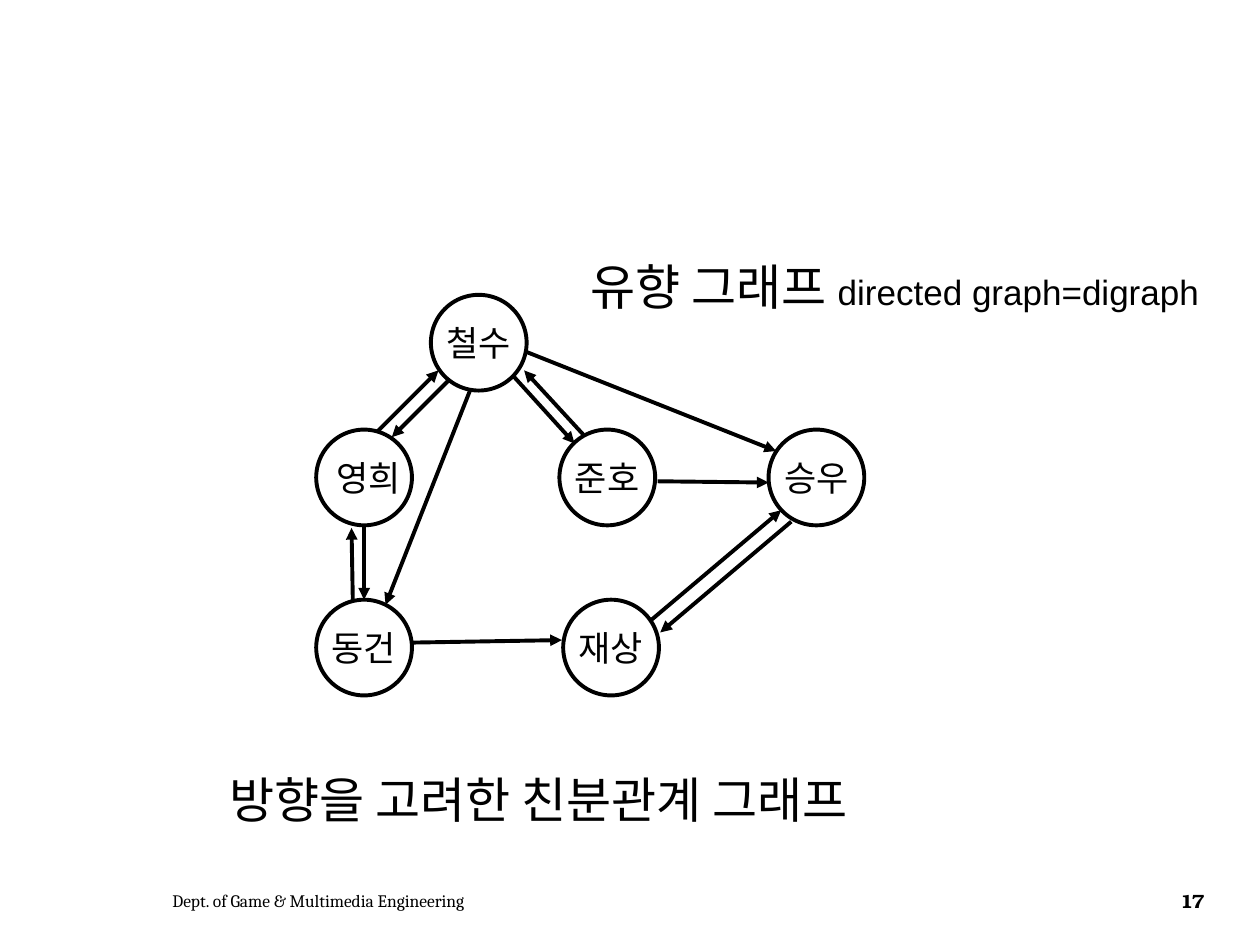
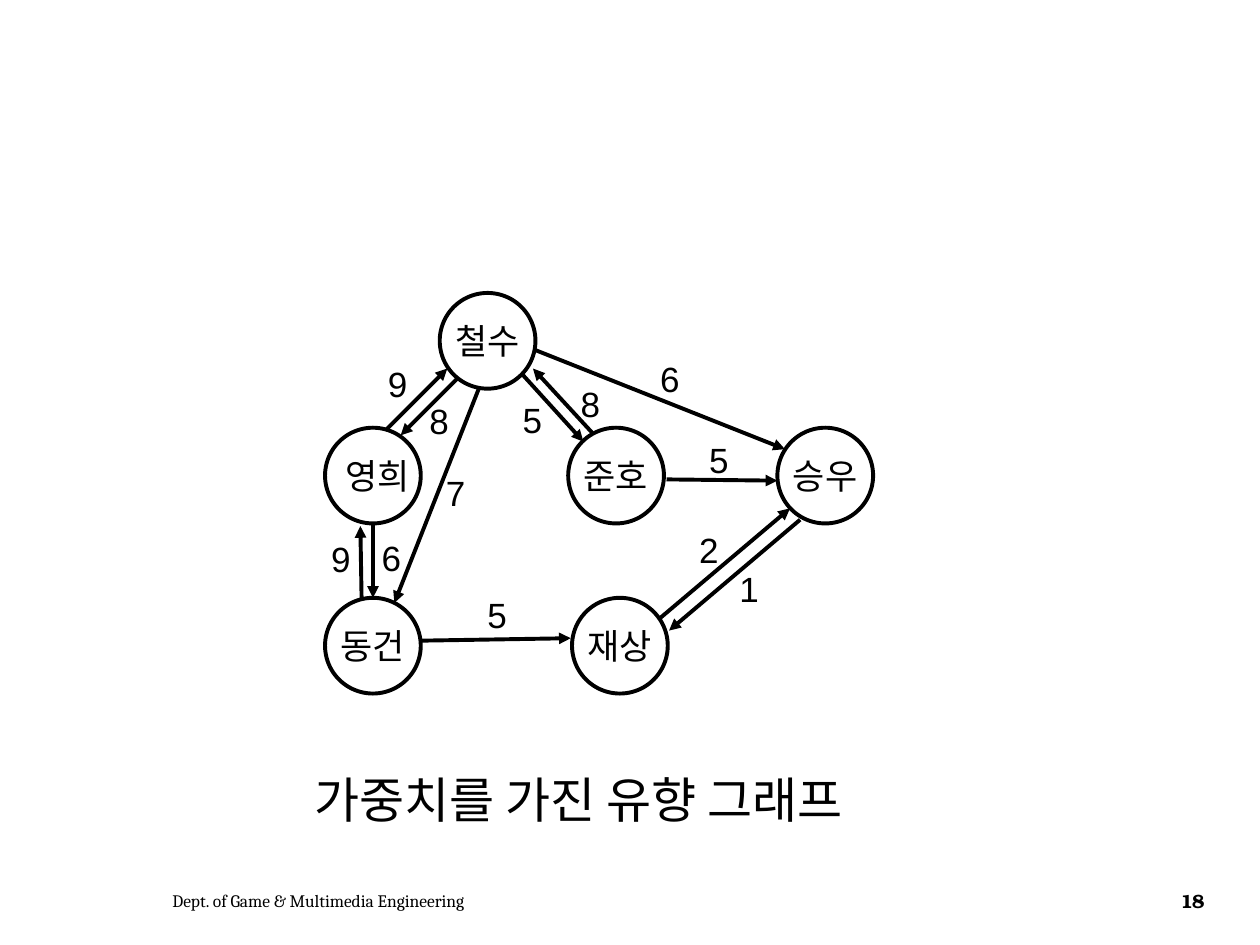
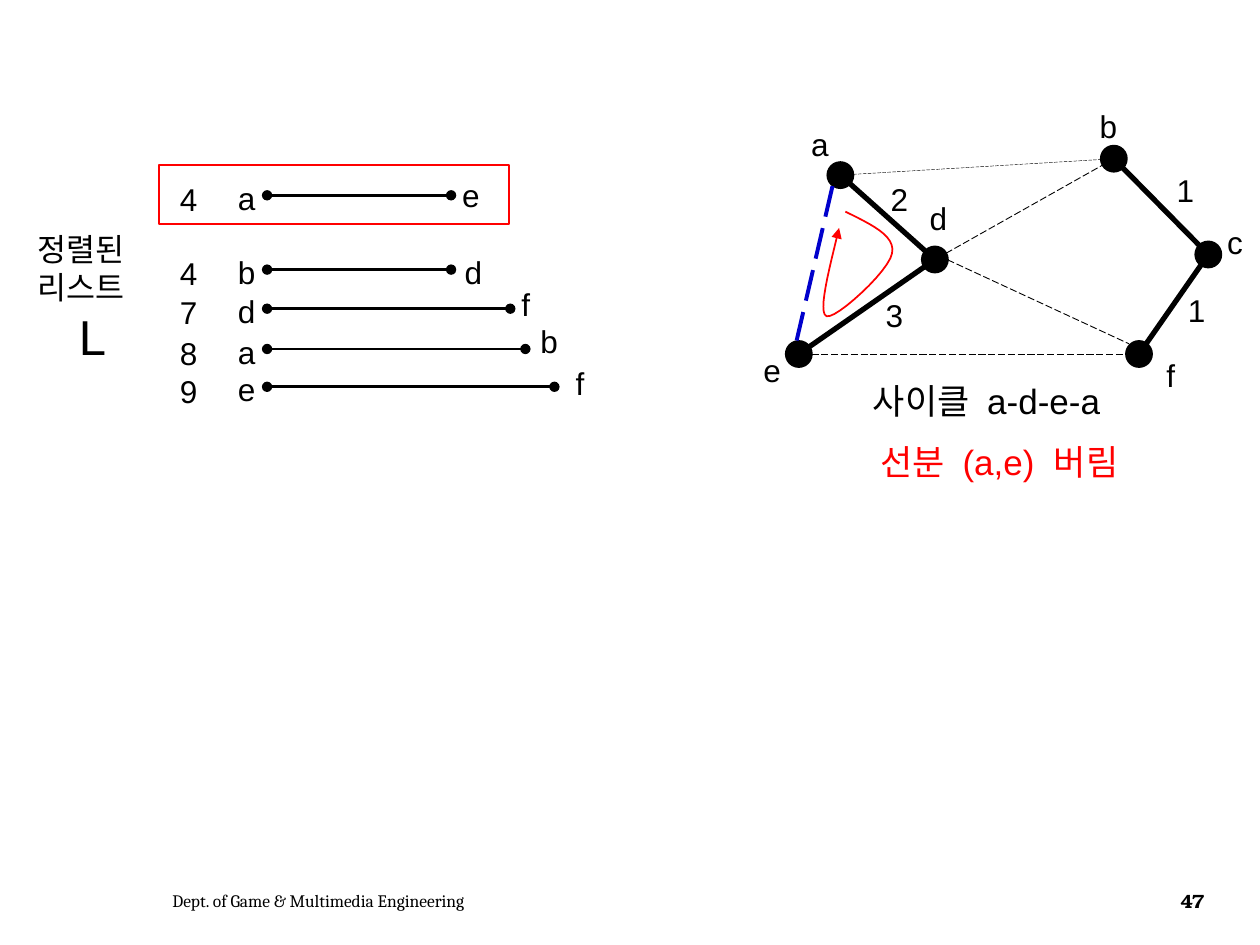
from math import hypot

from lxml import etree
from pptx import Presentation
from pptx.dml.color import RGBColor
from pptx.enum.dml import MSO_LINE
from pptx.enum.shapes import MSO_CONNECTOR, MSO_SHAPE
from pptx.enum.text import MSO_ANCHOR, MSO_AUTO_SIZE, PP_ALIGN
from pptx.oxml.ns import qn
from pptx.util import Inches, Pt

STRAIGHT = MSO_CONNECTOR.STRAIGHT
OVAL, RECT = MSO_SHAPE.OVAL, MSO_SHAPE.RECTANGLE
MID, GROW = MSO_ANCHOR.MIDDLE, MSO_AUTO_SIZE.SHAPE_TO_FIT_TEXT
LEFT, CENTER = PP_ALIGN.LEFT, PP_ALIGN.CENTER
DASH = MSO_LINE.LONG_DASH

COLORS = {"ink": "000000", "red": "FF0000", "blue": "0000CC"}
WIDE, HIGH = Inches(10), Inches(7.5)
CELL = WIDE / 100  # the slide is a grid of 100 columns by 75 rows

# Text styles
BODY = {"name": "Arial", "size": 20, "color": "ink"}
HEAD = {**BODY, "size": 28}
SMALL = {**BODY, "size": 18}
ALERT = {**BODY, "color": "red"}
DEPT = {**BODY, "name": "Cambria", "size": 10}
PAGE = {**BODY, "name": "TeX Gyre Bonum", "size": 11, "bold": True, "spc": -70}

# Friend graph: cells from the graph's top left corner
RING = 7.6
FRIENDS = {
    "영희": (0, 10.7), "철수": (9.1, 0), "준호": (19.3, 10.7),
    "동건": (0, 24.2), "승우": (35.9, 10.7), "재상": (19.6, 24.2),
}
# start, end, weight, place of the weight
TIES = [
    ((4.8, 10.9), (9.7, 6), "9", (4, 5)),
    ((16.6, 4.5), (36.5, 12.4), "6", (25.6, 4.6)),
    ((15.6, 6.4), (20.5, 11.8), "5", (14.7, 7.9)),
    ((7.6, 27.6), (19.5, 27.4), "5", (11.9, 23.4)),
    ((27.1, 14.8), (35.9, 14.9), "5", (29.5, 11.1)),
    ((26.6, 25.8), (36.9, 17.1), "2", (28.7, 18.2)),
    ((3.8, 18.3), (3.8, 24.2), "6", (3.5, 18.8)),
    ((12.2, 7.6), (5.5, 24.6), "7", (8.6, 13.7)),
    ((10.5, 6.8), (6, 11.3), "8", (7.3, 8)),
    ((2.9, 24.2), (2.8, 18.5), "9", (-0.5, 18.9)),
    ((37.7, 18), (27.3, 26.8), "1", (31.9, 21.3)),
    ((21.2, 11.1), (16.5, 6), "8", (19.3, 6.6)),
]

# Sorted list: weight, from, to, row, line end, place of the last letter
ROWS = [
    ("4", "a", "e", 2.4, 23.2, (23.1, 0.4)),
    ("4", "b", "d", 8.3, 23.2, (23.3, 6.5)),
    ("7", "d", "f", 11.4, 27.9, (27.8, 9)),
    ("8", "a", "b", 14.6, 29.1, (29.3, 12)),
    ("9", "e", "f", 17.6, 31.4, (32.1, 15.3)),
]

# Spanning tree: centre of each dot and place of its letter
DOT = 2
NODES = {
    "a": ((4.3, 5.9), (1, 1.4)), "b": ((26, 4.6), (23.9, 0)),
    "c": ((33.5, 12.2), (34, 9.2)), "d": ((11.8, 12.6), (10.4, 7.3)),
    "e": ((1, 20.1), (-2.8, 19.4)), "f": ((28, 20.1), (29.2, 19.8)),
}
THIN = {"width": 0.5, "dash": DASH}
BOLD = {"width": 3}
# ends, line format, sideways nudge
EDGES = [
    ("ad", BOLD, (0, 0)), ("de", BOLD, (0, 0)),
    ("ae", {"width": 2.25, "dash": DASH, "color": "blue"}, (-0.4, -0.1)),
    ("df", THIN, (0.1, -0.4)), ("ef", THIN, (0, 0)),
    ("ab", {**THIN, "width": 0.25}, (0, 0)), ("db", THIN, (0, 0)),
    ("bc", BOLD, (0, 0)), ("cf", BOLD, (0, 0)),
]
COSTS = [("2", (7.3, 5.8)), ("3", (6.9, 15)), ("1", (30, 5.1)), ("1", (30.9, 14.6))]
LOOP = [
    (4.7, 8.8), (6.7, 9.8), (8.7, 10.7), (8.4, 12.1), (8.2, 13.5),
    (3.9, 17.4), (3.2, 17.1), (2.5, 16.8), (3.4, 13.4), (4.2, 10.1),
]


def cells(*nums):
    return [round(num * CELL) for num in nums]


def shift(base, spot):
    return base[0] + spot[0], base[1] + spot[1]


def rgb(name):
    return RGBColor.from_string(COLORS[name])


def style(font, form):
    vals = {**form, "size": Pt(form["size"])}
    font.color.rgb = rgb(vals.pop("color"))
    spc = vals.pop("spc", None)
    for key, val in vals.items():
        setattr(font, key, val)
    if spc is not None:
        font._element.set("spc", str(spc))


def fill_text(para, runs, align=LEFT):
    para.alignment = align
    for words, form in runs:
        run = para.add_run()
        run.text = words
        style(run.font, form)


def label(slide, at, size, *paras, align=LEFT, **frame):
    """Text box; each paragraph is a list of (words, style) runs."""
    text = slide.shapes.add_textbox(*cells(*at, *size)).text_frame
    for key, val in {"word_wrap": False, "auto_size": GROW, **frame}.items():
        setattr(text, key, val)
    for num, runs in enumerate(paras):
        para = text.add_paragraph() if num else text.paragraphs[0]
        fill_text(para, runs, CENTER if num else align)
    return text


def mark(slide, words, at, form=SMALL):
    label(slide, at, (3.4, 4), [(words, form)])


def spread(form, *words):
    """Runs parted by one wide space."""
    gap = (" ", {**form, "spc": 550})
    runs = [(words[0], form)]
    for word in words[1:]:
        runs += [gap, (word, form)]
    return runs


def draw_line(line, width, color="ink", dash=None, ends=()):
    line.width = Pt(width)
    line.color.rgb = rgb(color)
    if dash:
        line.dash_style = dash
    for tag, kind in ends:
        etree.SubElement(line._get_or_add_ln(), qn(tag), type=kind)


ARROW = [("a:tailEnd", "triangle")]
BEADS = [("a:headEnd", "oval"), ("a:tailEnd", "oval")]


def link(slide, start, end, **form):
    wire = slide.shapes.add_connector(STRAIGHT, *cells(*start, *end))
    draw_line(wire.line, **form)
    etree.SubElement(wire._element.spPr, qn("a:effectLst"))


def shape(slide, kind, at, size, fill=None, **form):
    item = slide.shapes.add_shape(kind, *cells(*at, *size))
    item.shadow.inherit = False
    if fill:
        item.fill.solid()
        item.fill.fore_color.rgb = rgb(fill)
    else:
        item.fill.background()
    draw_line(item.line, **form)
    return item


def footer(slide, page):
    frame = {"word_wrap": True, "auto_size": None, "vertical_anchor": MID}
    label(slide, (12.7, 69.5), (45.9, 4),
          [("Dept. of Game & Multimedia Engineering", DEPT)], **frame)
    label(slide, (92, 69.5), (5.3, 4), [(page, PAGE)], align=CENTER, **frame)


def friends(slide, base, costs=False):
    """Directed friend graph, with weights if costs is set."""
    for name, spot in FRIENDS.items():
        ring = shape(slide, OVAL, shift(base, spot), (RING, RING), width=2.25)
        text = ring.text_frame
        text.word_wrap, text.vertical_anchor = False, MID
        if name == "영희":
            text.margin_left = Inches(0.17)
        fill_text(text.paragraphs[0], [(name, BODY)], CENTER)
    for start, end, cost, spot in TIES:
        link(slide, shift(base, start), shift(base, end), width=2.25, ends=ARROW)
        if costs:
            mark(slide, cost, shift(base, spot), BODY)


def ranking(slide, base):
    """List of edges sorted by weight, the current one framed."""
    for cost, first, last, row, stop, spot in ROWS:
        link(slide, shift(base, (stop, row)), shift(base, (8.6, row)),
             width=1.5, ends=BEADS)
        mark(slide, cost, shift(base, (0.7, row - 1.7)))
        mark(slide, first, shift(base, (5.3, row - 1.8)))
        mark(slide, last, shift(base, spot))
    label(slide, shift(base, (-10.6, 4.7)), (10.7, 11.8),
          [("정렬된 리스트", SMALL)], [("L", HEAD)], word_wrap=True)
    shape(slide, RECT, base, (27.8, 4.7), width=1, color="red")


def bend(pts, steps=12):
    """Points along a chain of cubic curves."""
    path = [pts[0]]
    for num in range(0, len(pts) - 1, 3):
        quad = pts[num:num + 4]
        for step in range(1, steps + 1):
            t = step / steps
            parts = ((1 - t) ** 3, 3 * t * (1 - t) ** 2, 3 * t * t * (1 - t), t ** 3)
            path.append(tuple(sum(k * p[axis] for k, p in zip(parts, quad))
                              for axis in (0, 1)))
    return path


def tree(slide, base):
    """Spanning tree with the cycle that rules out edge a-e."""
    for name, (mid, spot) in NODES.items():
        shape(slide, OVAL, shift(base, (mid[0] - DOT / 2, mid[1] - DOT / 2)),
              (DOT, DOT), "ink", width=1.5)
        mark(slide, name, shift(base, spot))
    for (first, last), form, nudge in EDGES:
        (x1, y1), (x2, y2) = NODES[first][0], NODES[last][0]
        part = DOT / 2 / hypot(x2 - x1, y2 - y1)
        dx, dy = (x2 - x1) * part, (y2 - y1) * part
        zero = shift(base, nudge)
        link(slide, shift(zero, (x1 + dx, y1 + dy)),
             shift(zero, (x2 - dx, y2 - dy)), **form)
    for cost, spot in COSTS:
        mark(slide, cost, shift(base, spot))
    # Cycle arrow
    pts = [cells(*shift(base, spot)) for spot in bend(LOOP)]
    pen = slide.shapes.build_freeform(*pts[0])
    pen.add_line_segments(pts[1:], close=False)
    curve = pen.convert_to_shape()
    curve.shadow.inherit = False
    curve.fill.background()
    draw_line(curve.line, 1, "red", ends=ARROW)
    # Verdict
    label(slide, shift(base, (4.3, 21.6)), (23.2, 4.4),
          spread(BODY, "사이클", "a-d-e-a"), align=CENTER, word_wrap=True)
    label(slide, shift(base, (6.5, 26.5)), (21, 4.4),
          spread(ALERT, "선분", "(a,e)", "버림"), word_wrap=True)


def main():
    deck = Presentation()
    deck.slide_width, deck.slide_height = WIDE, HIGH
    blank = deck.slide_layouts[6]
    plain, costed, sorting = [deck.slides.add_slide(blank) for _ in range(3)]

    friends(plain, (25.1, 23.4))
    label(plain, (17.2, 60.6), (57, 5.7), [("방향을 고려한 친분관계 그래프", HEAD)])
    label(plain, (45.9, 19.9), (54.3, 5.7),
          [("유향 그래프 ", HEAD), ("directed graph=digraph", BODY)])

    friends(costed, (25.8, 23.25), costs=True)
    label(costed, (24, 60.6), (49.2, 5.7), [("가중치를 가진 유향 그래프", HEAD)])

    ranking(sorting, (12.6, 13.1))
    tree(sorting, (62.4, 8))

    for slide, page in zip((plain, costed, sorting), ("17", "18", "47")):
        footer(slide, page)
    deck.save("out.pptx")


if __name__ == "__main__":
    main()
